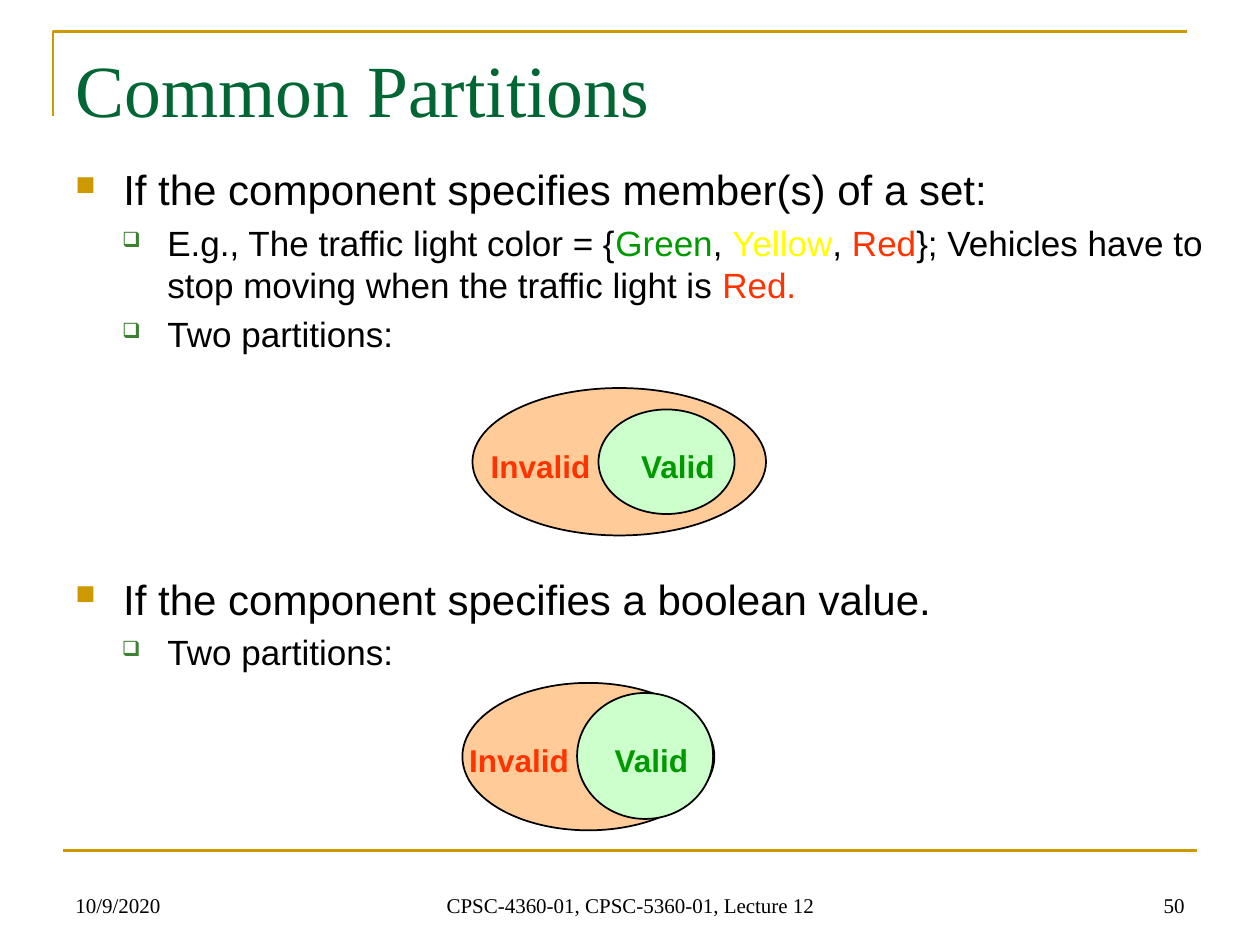
from lxml import etree
from pptx import Presentation
from pptx.dml.color import RGBColor
from pptx.enum.shapes import MSO_CONNECTOR, MSO_SHAPE
from pptx.enum.text import MSO_ANCHOR, PP_ALIGN
from pptx.oxml.ns import qn
from pptx.util import Inches, Pt

LEFT, CENTER, RIGHT = PP_ALIGN.LEFT, PP_ALIGN.CENTER, PP_ALIGN.RIGHT
TOP, BOTTOM = MSO_ANCHOR.TOP, MSO_ANCHOR.BOTTOM
SANS, SERIF = "Arial", "Times New Roman"

BLACK = RGBColor(0x00, 0x00, 0x00)
GOLD = RGBColor(0xCC, 0x99, 0x00)
TITLE_GREEN = RGBColor(0x00, 0x66, 0x33)
BULLET_GREEN = RGBColor(0x3B, 0x81, 0x2F)
GREEN = RGBColor(0x00, 0x99, 0x00)
YELLOW = RGBColor(0xFF, 0xFF, 0x00)
RED = RGBColor(0xFF, 0x33, 0x00)
PEACH = RGBColor(0xFF, 0xCC, 0x99)
MINT = RGBColor(0xCC, 0xFF, 0xCC)

TITLE = "Common Partitions"

# Per level: size, left margin, hanging indent, bullet, bullet colour, bullet %
LEVELS = [
    (24, 0.38, 0.38, "■", GOLD, 65),
    (20, 0.73, 0.36, "❑", BULLET_GREEN, 60),
]

# Each list: box, then (level, runs of text and colour)
LISTS = [
    ((0.5, 1.25, 9.25, 1.92), [
        (0, [("If the component specifies member(s) of a set:", BLACK)]),
        (1, [("E.g., The traffic light color = {", BLACK), ("Green", GREEN),
             (", ", BLACK), ("Yellow", YELLOW), (", ", BLACK), ("Red", RED),
             ("}; Vehicles have to stop moving when the traffic light is ", BLACK),
             ("Red.", RED)]),
        (1, [("Two partitions:", BLACK)]),
    ]),
    ((0.5, 4.5, 9, 1.42), [
        (0, [("If the component specifies a boolean value.", BLACK)]),
        (1, [("Two partitions:", BLACK)]),
    ]),
]

# Each diagram: ellipses (box, fill), then labels (box, text, colour)
DIAGRAMS = [
    ([((3.75, 3.08, 2.33, 1.17), PEACH), ((4.75, 3.25, 1.08, 0.83), MINT)],
     [((4.67, 3.5, 1.42, 0.4), "Valid", GREEN),
      ((3.58, 3.5, 1.42, 0.4), "Invalid", RED)]),
    ([((3.67, 5.42, 2, 1.17), PEACH), ((4.58, 5.5, 1.08, 1), MINT)],
     [((4.67, 5.83, 1, 0.4), "Valid", GREEN),
      ((3.58, 5.83, 1.08, 0.4), "Invalid", RED)]),
]

FOOTERS = [
    ((0.5, 6.83, 2.33, 0.5), "10/9/2020", LEFT),
    ((3.42, 6.83, 3.17, 0.5), "CPSC-4360-01, CPSC-5360-01, Lecture 12", CENTER),
    ((7.17, 6.83, 2.33, 0.5), "50", RIGHT),
]


def inches(values):
    return [Inches(value) for value in values]


def set_font(paragraph, name, size, color, bold=False):
    font = paragraph.font
    font.name, font.size, font.bold = name, Pt(size), bold
    font.color.rgb = color


def add_text_frame(shapes, box, anchor=TOP):
    frame = shapes.add_textbox(*inches(box)).text_frame
    frame.word_wrap = True
    frame.vertical_anchor = anchor
    return frame


def add_label(shapes, box, text, align, font, anchor=TOP):
    paragraph = add_text_frame(shapes, box, anchor).paragraphs[0]
    paragraph.text = text
    paragraph.alignment = align
    set_font(paragraph, *font)


def set_bullet(paragraph, margin, hanging, char, color, percent):
    properties = paragraph._p.get_or_add_pPr()
    properties.set("marL", str(Inches(margin)))
    properties.set("indent", str(-Inches(hanging)))
    bullet_color = etree.SubElement(properties, qn("a:buClr"))
    etree.SubElement(bullet_color, qn("a:srgbClr"), val=str(color))
    etree.SubElement(properties, qn("a:buSzPct"), val=str(percent * 1000))
    etree.SubElement(properties, qn("a:buChar"), char=char)


def add_list(shapes, box, items):
    frame = add_text_frame(shapes, box)
    for index, (level, runs) in enumerate(items):
        paragraph = frame.add_paragraph() if index else frame.paragraphs[0]
        size, *bullet = LEVELS[level]
        paragraph.level = level
        set_bullet(paragraph, *bullet)
        set_font(paragraph, SANS, size, BLACK)
        if index:
            paragraph.space_before = Pt(size * 0.2)
        for text, color in runs:
            run = paragraph.add_run()
            run.text = text
            if color != BLACK:
                run.font.color.rgb = color


def add_diagram(slide, ellipses, labels):
    shapes = slide.shapes.add_group_shape().shapes
    for box, color in ellipses:
        ellipse = shapes.add_shape(MSO_SHAPE.OVAL, *inches(box))
        ellipse.shadow.inherit = False
        ellipse.fill.solid()
        ellipse.fill.fore_color.rgb = color
        ellipse.line.color.rgb = BLACK
        ellipse.line.width = Pt(1)
    for box, text, color in labels:
        add_label(shapes, box, text, CENTER, (SANS, 18, color, True))


def add_rules(shapes):
    """Draw the corner line round the title and the line above the footer."""
    builder = shapes.build_freeform(*inches((0.42, 0.92)))
    builder.add_line_segments([inches((0.42, 0.25)), inches((9.42, 0.25))], close=False)
    corner = builder.convert_to_shape()
    corner.shadow.inherit = False
    corner.fill.background()
    footer_rule = shapes.add_connector(
        MSO_CONNECTOR.STRAIGHT, *inches((0.5, 6.75, 9.5, 6.75)))
    etree.SubElement(footer_rule._element.spPr, qn("a:effectLst"))
    for rule in (corner, footer_rule):
        rule.line.color.rgb = GOLD
        rule.line.width = Pt(1.5)


def add_title(slide):
    title = slide.shapes.title
    title.left, title.top, title.width, title.height = inches((0.5, 0.3, 9, 1.25))
    title.text_frame.text = TITLE
    title.text_frame.vertical_anchor = TOP
    paragraph = title.text_frame.paragraphs[0]
    paragraph.alignment = LEFT
    set_font(paragraph, SERIF, 42, TITLE_GREEN)


def main():
    presentation = Presentation()
    presentation.slide_width, presentation.slide_height = inches((10, 7.5))
    slide = presentation.slides.add_slide(presentation.slide_layouts[5])
    add_rules(slide.shapes)
    for box, text, align in FOOTERS:
        add_label(slide.shapes, box, text, align, (SERIF, 12, BLACK), BOTTOM)
    add_title(slide)
    for box, items in LISTS:
        add_list(slide.shapes, box, items)
    for ellipses, labels in DIAGRAMS:
        add_diagram(slide, ellipses, labels)
    presentation.save("out.pptx")


if __name__ == "__main__":
    main()
